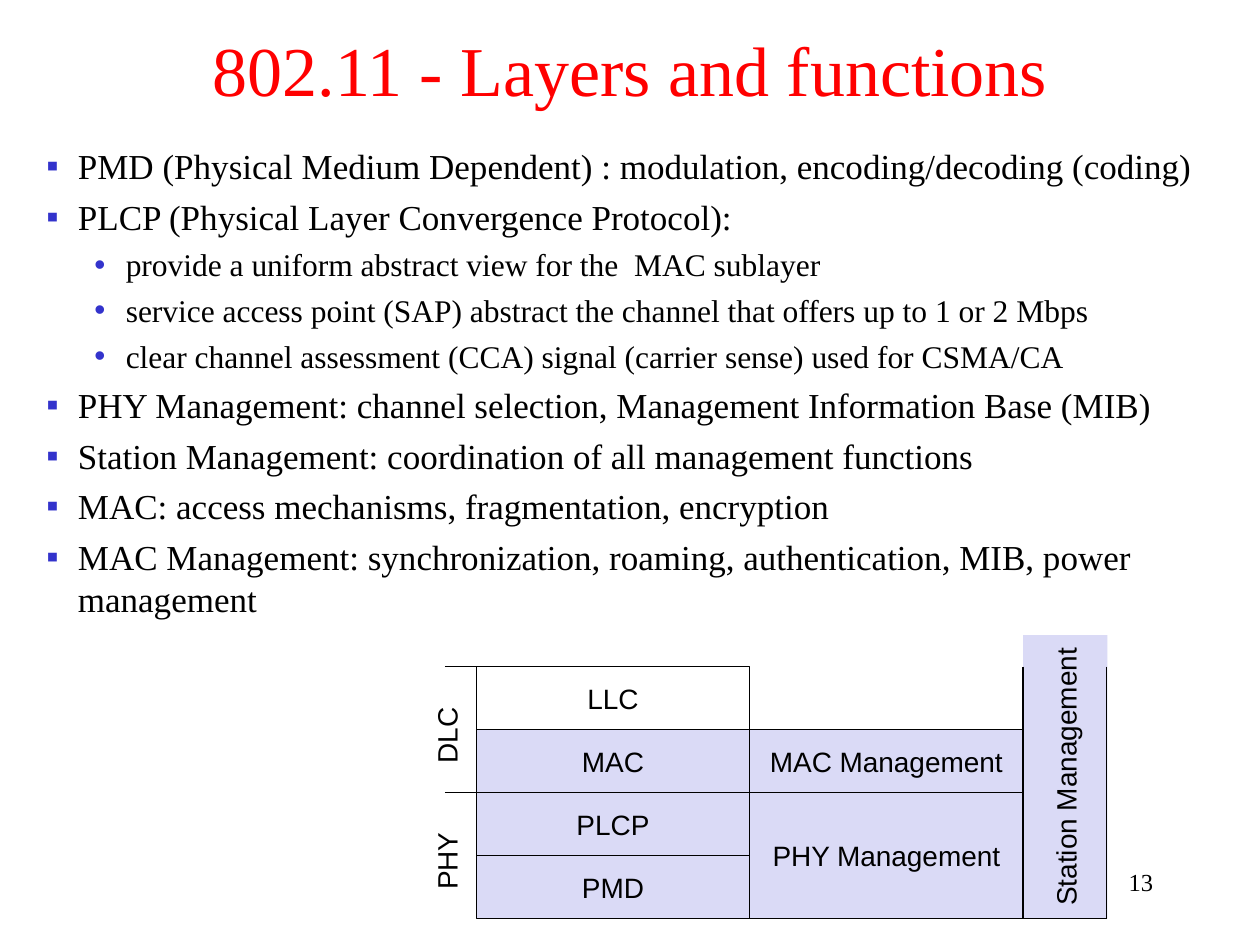
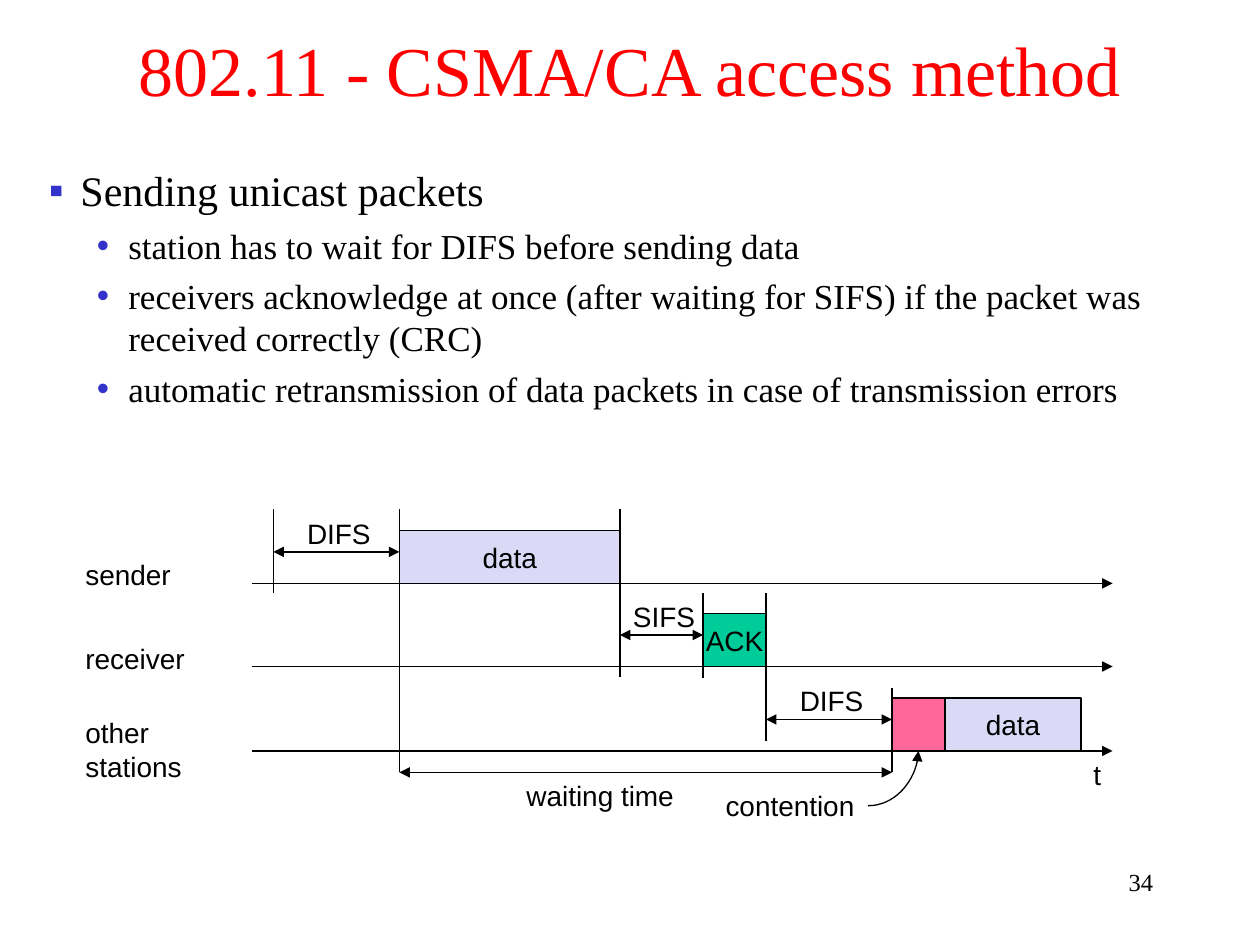
from dataclasses import dataclass

from lxml import etree
from pptx import Presentation
from pptx.dml.color import RGBColor
from pptx.enum.shapes import MSO_CONNECTOR, MSO_SHAPE
from pptx.enum.text import MSO_ANCHOR, MSO_AUTO_SIZE, PP_ALIGN
from pptx.oxml.ns import qn
from pptx.util import Inches, Pt

RECT = MSO_SHAPE.RECTANGLE
STRAIGHT, CURVE = MSO_CONNECTOR.STRAIGHT, MSO_CONNECTOR.CURVE
LEFT, CENTER, RIGHT = PP_ALIGN.LEFT, PP_ALIGN.CENTER, PP_ALIGN.RIGHT
TOP, MIDDLE = MSO_ANCHOR.TOP, MSO_ANCHOR.MIDDLE
FIT = MSO_AUTO_SIZE.SHAPE_TO_FIT_TEXT


@dataclass(frozen=True)
class Theme:
    serif: str = "Times New Roman"
    sans: str = "Arial"
    title: str = "FF0000"
    ink: str = "000000"
    mark: str = "3333CC"
    paper: str = "FFFFFF"
    lilac: str = "DADAF6"
    green: str = "00CC99"
    pink: str = "FF6699"
    head: int = 40
    label: int = 16
    foot: int = 14
    rule: float = 0.75


class Deck:
    def __init__(self, theme):
        self.theme = theme
        self.prs = Presentation()
        self.prs.slide_width, self.prs.slide_height = Inches(10), Inches(7.5)
        self.slide = None

    def page(self, title, number):
        """Start a slide with the shared title and page number."""
        t = self.theme
        self.slide = self.prs.slides.add_slide(self.prs.slide_layouts[6])
        self.text(title, 0, 0.2, 10, 0.68, t.serif, t.head, t.title, CENTER, MIDDLE)
        self.text(number, 7.17, 6.83, 2.08, 0.5, t.serif, t.foot, t.ink, RIGHT)

    def style(self, para, face, size, color):
        for run in para.runs:
            run.font.name, run.font.size = face, Pt(size)
            run.font.color.rgb = RGBColor.from_string(color)

    def text(self, words, x, y, w, h, face, size, color, align=LEFT, anchor=TOP):
        box = self.slide.shapes.add_textbox(*map(Inches, (x, y, w, h)))
        frame = box.text_frame
        frame.word_wrap, frame.vertical_anchor = True, anchor
        frame.text = words
        for para in frame.paragraphs:
            para.alignment = align
            self.style(para, face, size, color)
        return box

    def label(self, words, x, y, w, h=0.37, align=LEFT, turn=0):
        t = self.theme
        box = self.text(words, x, y, w, h, t.sans, t.label, t.ink, align)
        box.text_frame.word_wrap = False
        box.text_frame.auto_size = FIT
        box.rotation = turn
        return box

    def bullets(self, items, x, y, w, h, sizes):
        """Write (level, words) items; sizes gives the type size of each level."""
        t = self.theme
        frame = self.text("\n".join(words for _, words in items), x, y, w, h,
                          t.serif, sizes[0], t.ink).text_frame
        for i, (level, _) in enumerate(items):
            para = frame.paragraphs[i]
            para.level = level
            props = para._p.get_or_add_pPr()
            props.set("marL", str(Inches((0.25, 0.63)[level])))
            props.set("indent", str(Inches(-0.25)))
            tint = etree.SubElement(props, qn("a:buClr"))
            etree.SubElement(tint, qn("a:srgbClr"), val=t.mark)
            etree.SubElement(props, qn("a:buFont"), typeface=t.sans)
            etree.SubElement(props, qn("a:buChar"), char="▪•"[level])
            if i:
                para.space_before = Pt(sizes[level] / 4)
            self.style(para, t.serif, sizes[level], t.ink)

    def box(self, words, x, y, w, h, fill, edge=True):
        t = self.theme
        box = self.slide.shapes.add_shape(RECT, *map(Inches, (x, y, w, h)))
        box.shadow.inherit = False
        box.fill.solid()
        box.fill.fore_color.rgb = RGBColor.from_string(fill)
        if edge:
            self.stroke(box)
        else:
            box.line.fill.background()
        frame = box.text_frame
        frame.word_wrap, frame.vertical_anchor = False, MIDDLE
        if words:
            frame.text = words
            frame.paragraphs[0].alignment = CENTER
            self.style(frame.paragraphs[0], t.sans, t.label, t.ink)
        return box

    def stroke(self, shape):
        shape.line.color.rgb = RGBColor.from_string(self.theme.ink)
        shape.line.width = Pt(self.theme.rule)

    def line(self, x1, y1, x2, y2, ends=(), kind=STRAIGHT):
        """Draw a line; ends names the arrowed ends, headEnd before tailEnd."""
        line = self.slide.shapes.add_connector(kind, *map(Inches, (x1, y1, x2, y2)))
        self.stroke(line)
        for end in ends:
            etree.SubElement(line.line._get_or_add_ln(), qn("a:" + end), type="triangle")
        etree.SubElement(line._element.spPr, qn("a:effectLst"))
        return line

    def span(self, x1, x2, y):
        self.line(x1, y, x2, y, ("headEnd", "tailEnd"))


def layers(deck):
    t = deck.theme
    deck.page("802.11 - Layers and functions", "13")
    deck.bullets([
        (0, "PMD (Physical Medium Dependent) : modulation, encoding/decoding (coding)"),
        (0, "PLCP (Physical Layer Convergence Protocol):"),
        (1, "provide a uniform abstract view for the  MAC sublayer"),
        (1, "service access point (SAP) abstract the channel that offers up to 1 or 2 Mbps"),
        (1, "clear channel assessment (CCA) signal (carrier sense) used for CSMA/CA"),
        (0, "PHY Management: channel selection, Management Information Base (MIB)"),
        (0, "Station Management: coordination of all management functions"),
        (0, "MAC: access mechanisms, fragmentation, encryption"),
        (0, "MAC Management: synchronization, roaming, authentication, MIB, power management"),
    ], 0.27, 1.1, 9.54, 3.86, (20, 18))

    left, top, wide, row = 3.78, 5.29, 2.17, 0.5
    mid, right, base = left + wide, left + 2 * wide, top + 4 * row
    for i, name in enumerate(("LLC", "MAC", "PLCP", "PMD")):
        deck.box(name, left, top + i * row, wide, row, t.lilac if i else t.paper)
    deck.box("MAC Management", mid, top + row, wide, row, t.lilac)
    deck.box("PHY Management", mid, top + 2 * row, wide, 2 * row, t.lilac)
    for i, name in enumerate(("DLC", "PHY")):
        y = top + 2 * i * row
        deck.line(left - 0.25, y, left, y)
        deck.label(name, 3.17, y + 0.36, 0.75, align=CENTER, turn=270)

    edge = right + 0.66
    tower = deck.box("Station Management", right, top - 0.25, 0.67, 2.25, t.lilac, False)
    tower.text_frame._txBody.bodyPr.set("vert", "vert270")
    for x in (right, edge):
        deck.line(x, top, x, base)
    deck.line(right, base, edge, base)


def access(deck):
    t = deck.theme
    deck.page("802.11 - CSMA/CA access method", "34")
    deck.bullets([
        (0, "Sending unicast packets"),
        (1, "station has to wait for DIFS before sending data"),
        (1, "receivers acknowledge at once (after waiting for SIFS) if the packet was "
            "received correctly (CRC)"),
        (1, "automatic retransmission of data packets in case of transmission errors"),
    ], 0.29, 1.26, 9.48, 2.28, (24, 20))

    lanes = send, recv, rest = 4.63, 5.29, 5.96
    idle, data, done, ack, free, slot, next_ = 2.17, 3.17, 4.92, 5.58, 6.08, 7.08, 7.5
    high = 0.42
    wait = rest + 0.17

    def bar(words, x1, x2, lane, fill):
        return deck.box(words, x1, lane - high, x2 - x1, high, fill)

    bar("data", data, done, send, t.lilac)
    bar("ACK", ack, free, recv, t.green)
    pink = bar("", slot, next_, rest, t.pink)
    bar("data", next_, 8.58, rest, t.lilac)

    for y in lanes:
        deck.line(2, y, 8.83, y, ("tailEnd",))
    for x, y1, y2 in ((idle, 4.04, 4.71), (data, 4.04, wait), (done, 4.04, 5.37),
                      (ack, 4.71, 5.38), (free, 4.71, 5.88), (slot, 5.46, wait)):
        deck.line(x, y2, x, y1)
    for name, x1, x2, lane in (("DIFS", idle, data, send), ("SIFS", done, ack, recv),
                               ("DIFS", free, slot, rest)):
        y = lane - 0.25
        deck.span(x1, x2, y)
        deck.label(name, (x1 + x2) / 2 - 0.38, y - 0.33, 0.8, align=CENTER)
    deck.span(data, slot, wait)

    deck.label("sender", 0.58, send - 0.25, 1)
    deck.label("receiver", 0.58, recv - 0.25, 1.1)
    deck.label("other\nstations", 0.58, rest - 0.33, 1.1, 0.64)
    deck.label("t", 8.58, rest, 0.3)
    deck.label("waiting time", 4.08, wait, 1.45)
    note = deck.label("contention", 5.65, 6.21, 1.24, align=CENTER)
    bend = deck.line(6.89, 6.39, 7.29, rest, ("tailEnd",), CURVE)
    bend.begin_connect(note, 3)
    bend.end_connect(pink, 2)
    bend._element.spPr.find(qn("a:prstGeom")).set("prst", "curvedConnector2")


def main():
    deck = Deck(Theme())
    layers(deck)
    access(deck)
    deck.prs.save("out.pptx")


if __name__ == "__main__":
    main()
